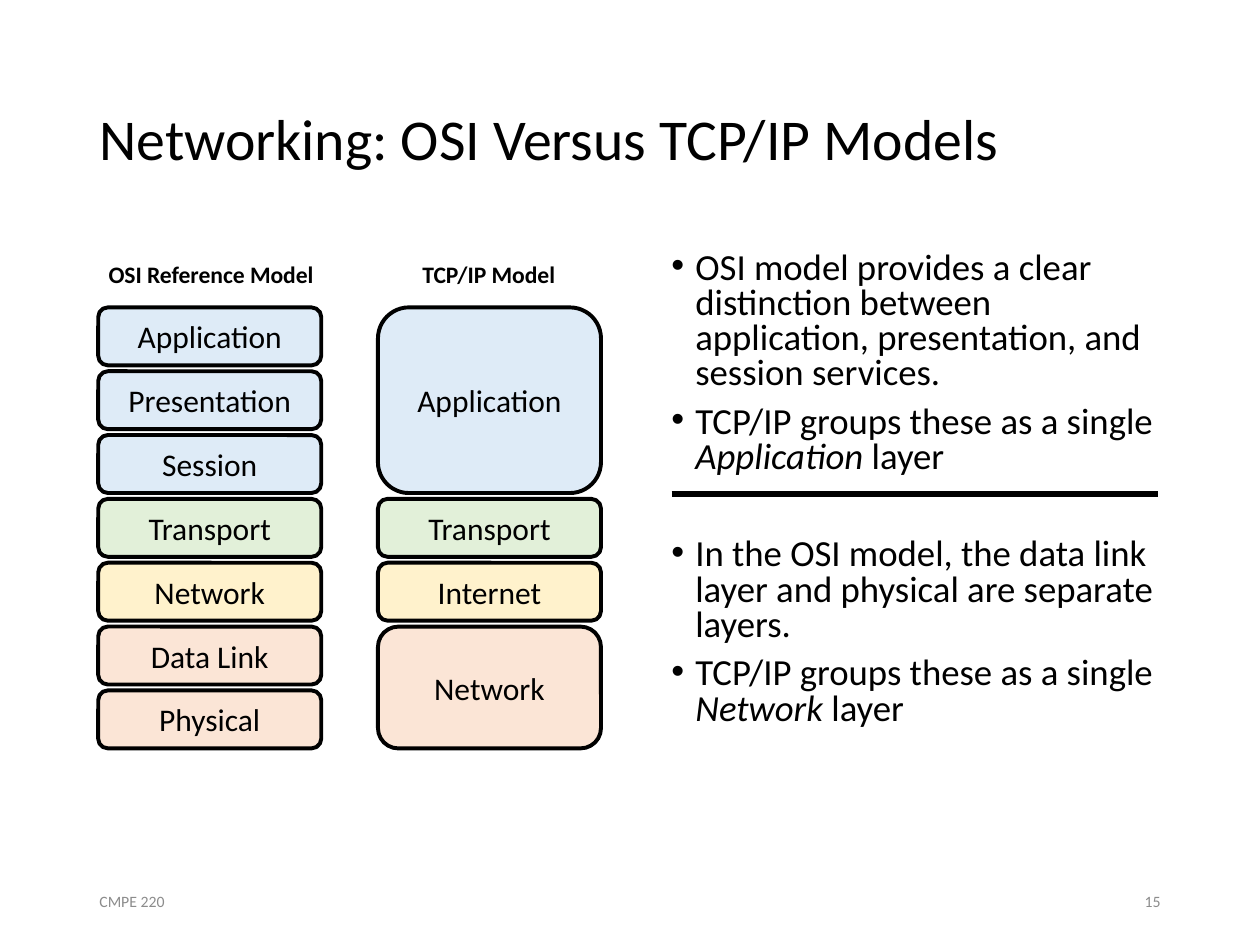
from lxml import etree
from pptx import Presentation
from pptx.dml.color import RGBColor
from pptx.enum import shapes, text
from pptx.oxml.ns import qn
from pptx.util import Inches, Pt

FONT = "Calibri"
BLACK, GREY = "000000", "8C8C8C"
BLUE, GREEN, YELLOW, ORANGE = "DEEBF7", "E2F0D9", "FFF2CC", "FBE5D6"

LAYER_TOP, LAYER_WIDTH, LAYER_HEIGHT = 2.44, 1.77, 0.46
LAYER_PITCH = 3.04 / 6

# Each layer: name, fill, number of OSI rows it covers
OSI_LAYERS = [
    ("Application", BLUE, 1),
    ("Presentation", BLUE, 1),
    ("Session", BLUE, 1),
    ("Transport", GREEN, 1),
    ("Network", YELLOW, 1),
    ("Data Link", ORANGE, 1),
    ("Physical", ORANGE, 1),
]
TCP_IP_LAYERS = [
    ("Application", BLUE, 3),
    ("Transport", GREEN, 1),
    ("Internet", YELLOW, 1),
    ("Network", ORANGE, 2),
]

# Each point: space before in points, then runs of (wording, italic)
POINTS = [
    (0, [("OSI model provides a clear distinction between application, "
          "presentation, and session services.", False)]),
    (7.5, [("TCP/IP groups these as a single ", False),
           ("Application", True), (" layer", False)]),
    (35.5, [("In the OSI model, the data link layer and physical are "
             "separate layers.", False)]),
    (7.5, [("TCP/IP groups these as a single ", False),
           ("Network", True), (" layer", False)]),
]


def rgb(value):
    return RGBColor.from_string(value)


def add_run(paragraph, wording, size, color=BLACK, bold=False, italic=False):
    run = paragraph.add_run()
    run.text = wording
    font = run.font
    font.name, font.size = FONT, Pt(size)
    font.bold, font.italic = bold, italic
    font.color.rgb = rgb(color)


def add_frame(slide, left, top, width, height, anchor=text.MSO_ANCHOR.TOP):
    """Add a text box and return its wrapping text frame."""
    box = slide.shapes.add_textbox(
        Inches(left), Inches(top), Inches(width), Inches(height))
    frame = box.text_frame
    frame.word_wrap = True
    frame.vertical_anchor = anchor
    return frame


def add_label(slide, wording, place, size, align=text.PP_ALIGN.LEFT,
              anchor=text.MSO_ANCHOR.MIDDLE, color=BLACK, bold=False,
              wrap=True):
    frame = add_frame(slide, *place, anchor)
    frame.word_wrap = wrap
    paragraph = frame.paragraphs[0]
    paragraph.alignment = align
    add_run(paragraph, wording, size, color, bold)
    return paragraph


def add_layer(slide, name, fill, left, top, height):
    layer = slide.shapes.add_shape(
        shapes.MSO_SHAPE.ROUNDED_RECTANGLE, Inches(left), Inches(top),
        Inches(LAYER_WIDTH), Inches(height))
    layer.shadow.inherit = False
    layer.fill.solid()
    layer.fill.fore_color.rgb = rgb(fill)
    layer.line.color.rgb = rgb(BLACK)
    layer.line.width = Pt(2.25)
    layer.text_frame.vertical_anchor = text.MSO_ANCHOR.MIDDLE
    paragraph = layer.text_frame.paragraphs[0]
    paragraph.alignment = text.PP_ALIGN.CENTER
    add_run(paragraph, name, 18)


def add_stack(slide, left, layers):
    row = 0
    for name, fill, span in layers:
        add_layer(slide, name, fill, left, LAYER_TOP + row * LAYER_PITCH,
                  LAYER_HEIGHT + (span - 1) * LAYER_PITCH)
        row += span


def set_bullet(paragraph):
    properties = paragraph._p.get_or_add_pPr()
    properties.set("marL", str(Inches(0.19)))
    properties.set("indent", str(-Inches(0.19)))
    etree.SubElement(properties, qn("a:buFont")).set("typeface", "Arial")
    etree.SubElement(properties, qn("a:buChar")).set("char", "•")


def add_points(slide, points):
    frame = add_frame(slide, 5.23, 1.95, 4.08, 3.96)
    for index, (space_before, runs) in enumerate(points):
        paragraph = frame.add_paragraph() if index else frame.paragraphs[0]
        set_bullet(paragraph)
        paragraph.line_spacing = 0.8
        paragraph.space_before = Pt(space_before)
        for wording, italic in runs:
            add_run(paragraph, wording, 21, italic=italic)


def add_divider(slide, left, right, y):
    divider = slide.shapes.add_connector(
        shapes.MSO_CONNECTOR.STRAIGHT,
        Inches(left), Inches(y), Inches(right), Inches(y))
    divider.line.color.rgb = rgb(BLACK)
    divider.line.width = Pt(3)
    etree.SubElement(divider._element.spPr, qn("a:effectLst"))


def main():
    deck = Presentation()
    deck.slide_width, deck.slide_height = Inches(10), Inches(7.5)
    slide = deck.slides.add_slide(deck.slide_layouts[6])

    title = add_label(slide, "Networking: OSI Versus TCP/IP Models",
                      (0.69, 0.4, 8.62, 1.45), 33)
    title.line_spacing = 0.9

    add_stack(slide, 0.78, OSI_LAYERS)
    add_stack(slide, 3, TCP_IP_LAYERS)
    heading = dict(size=13.5, align=text.PP_ALIGN.CENTER,
                   anchor=text.MSO_ANCHOR.TOP, bold=True)
    add_label(slide, "OSI Reference Model", (0.75, 2.01, 1.85, 0.33),
              wrap=False, **heading)
    add_label(slide, "TCP/IP Model", (2.98, 2.01, 1.8, 0.33), **heading)

    add_points(slide, POINTS)
    add_divider(slide, 5.33, 9.19, 3.92)

    add_label(slide, "CMPE 220", (0.69, 6.95, 2.25, 0.4), 9, color=GREY)
    add_label(slide, "15", (7.06, 6.95, 2.25, 0.4), 9,
              align=text.PP_ALIGN.RIGHT, color=GREY)
    deck.save("out.pptx")


if __name__ == "__main__":
    main()
